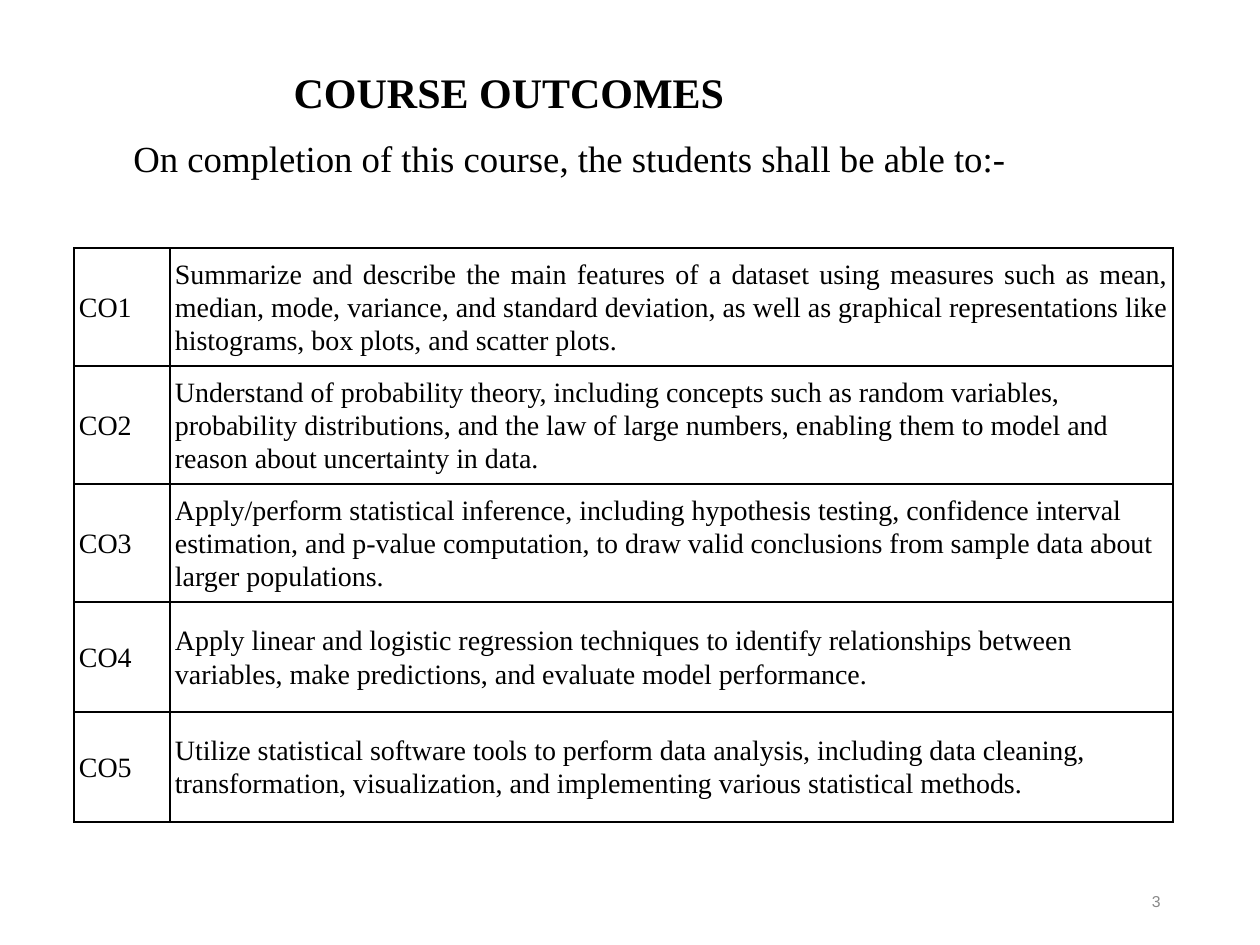
"""Build the course outcomes slide: title, lead-in line, outcome table and page number."""
from lxml.etree import SubElement
from pptx import Presentation
from pptx.dml.color import RGBColor
from pptx.enum.text import MSO_ANCHOR, MSO_AUTO_SIZE, PP_ALIGN
from pptx.oxml import parse_xml
from pptx.oxml.ns import nsdecls, qn
from pptx.util import Pt

TITLE = "COURSE OUTCOMES"
LEAD_IN = "On completion of this course, the students shall be able to:-"
PAGE = "3"
OUTCOMES = [
    "Summarize and describe the main features of a dataset using measures such as mean, "
    "median, mode, variance, and standard deviation, as well as graphical representations "
    "like histograms, box plots, and scatter plots.",
    "Understand of probability theory, including concepts such as random variables, "
    "probability distributions, and the law of large numbers, enabling them to model and "
    "reason about uncertainty in data.",
    "Apply/perform statistical inference, including hypothesis testing, confidence interval "
    "estimation, and p-value computation, to draw valid conclusions from sample data about "
    "larger populations.",
    "Apply linear and logistic regression techniques to identify relationships between "
    "variables, make predictions, and evaluate model performance.",
    "Utilize statistical software tools to perform data analysis, including data cleaning, "
    "transformation, visualization, and implementing various statistical methods.",
]
COLORS = {"text": "000000", "border": "000000", "page": "898989"}
SERIF, SANS = "Times New Roman", "Arial"
COLS = [96, 1003]
ROWS = [118, 118, 118, 110, 110]
CELL_PAD = 5


def px(n):
    return round(n * 914400 / 126)


def write(tf, text, font, color="text", **para):
    p = tf.paragraphs[0]
    for name, value in para.items():
        setattr(p, name, value)
    r = p.add_run()
    r.text = text
    for name, value in font.items():
        setattr(r.font, name, value)
    r.font.color.rgb = RGBColor.from_string(COLORS[color])


def place(sp, x, y, w, h, **frame):
    sp.left, sp.top, sp.width, sp.height = map(px, (x, y, w, h))
    for name, value in frame.items():
        setattr(sp.text_frame, name, value)
    return sp.text_frame


def add_borders(cell):
    tc_pr = cell._tc.get_or_add_tcPr()
    for i, side in enumerate(("lnL", "lnR", "lnT", "lnB")):
        ln = parse_xml(f'<a:{side} {nsdecls("a")} w="{Pt(1)}"/>')
        fill = SubElement(ln, qn("a:solidFill"))
        SubElement(fill, qn("a:srgbClr"), val=COLORS["border"])
        tc_pr.insert(i, ln)


def fill_cell(cell, text, **para):
    cell.fill.background()
    add_borders(cell)
    cell.vertical_anchor = MSO_ANCHOR.MIDDLE
    for side in ("left", "right", "top", "bottom"):
        setattr(cell, f"margin_{side}", px(CELL_PAD))
    write(cell.text_frame, text, {"size": Pt(16), "name": SERIF}, line_spacing=1.07, **para)


def add_outcomes(s):
    frame = s.shapes.add_table(len(ROWS), len(COLS), px(74), px(248), px(sum(COLS)), px(sum(ROWS)))
    table = frame.table
    table.first_row = table.horz_banding = False
    for col, w in zip(table.columns, COLS):
        col.width = px(w)
    for i, (h, outcome) in enumerate(zip(ROWS, OUTCOMES)):
        table.rows[i].height = px(h)
        fill_cell(table.cell(i, 0), f"CO{i + 1}")
        para = {"space_after": Pt(8)} if i else {"alignment": PP_ALIGN.JUSTIFY}
        fill_cell(table.cell(i, 1), outcome, **para)


def main():
    prs = Presentation()
    prs.slide_width, prs.slide_height = px(1260), px(945)
    s = prs.slides.add_slide(prs.slide_layouts[5])

    tf = place(s.shapes.title, 281, 66, 588, 58, word_wrap=True,
               vertical_anchor=MSO_ANCHOR.BOTTOM, auto_size=MSO_AUTO_SIZE.SHAPE_TO_FIT_TEXT)
    write(tf, TITLE, {"size": Pt(24), "name": SERIF, "bold": True},
          alignment=PP_ALIGN.LEFT, line_spacing=0.9)

    tf = place(s.shapes.add_textbox(0, 0, 0, 0), 121, 130, 908, 57, word_wrap=False,
               auto_size=MSO_AUTO_SIZE.SHAPE_TO_FIT_TEXT)
    write(tf, LEAD_IN, {"size": Pt(21), "name": SERIF})

    add_outcomes(s)

    tf = place(s.shapes.add_textbox(0, 0, 0, 0), 890, 876, 283, 50, word_wrap=True,
               vertical_anchor=MSO_ANCHOR.MIDDLE)
    write(tf, PAGE, {"size": Pt(9), "name": SANS}, "page", alignment=PP_ALIGN.RIGHT)

    prs.save("out.pptx")


if __name__ == "__main__":
    main()
